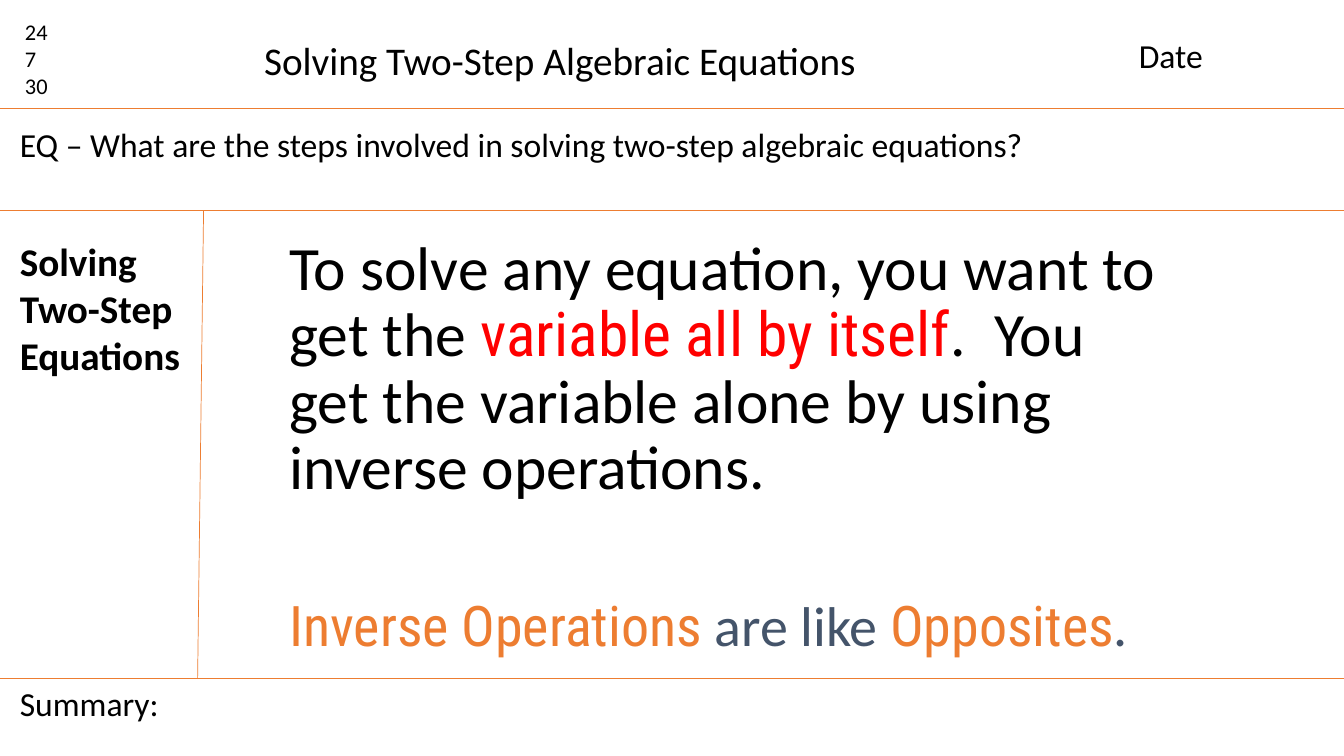
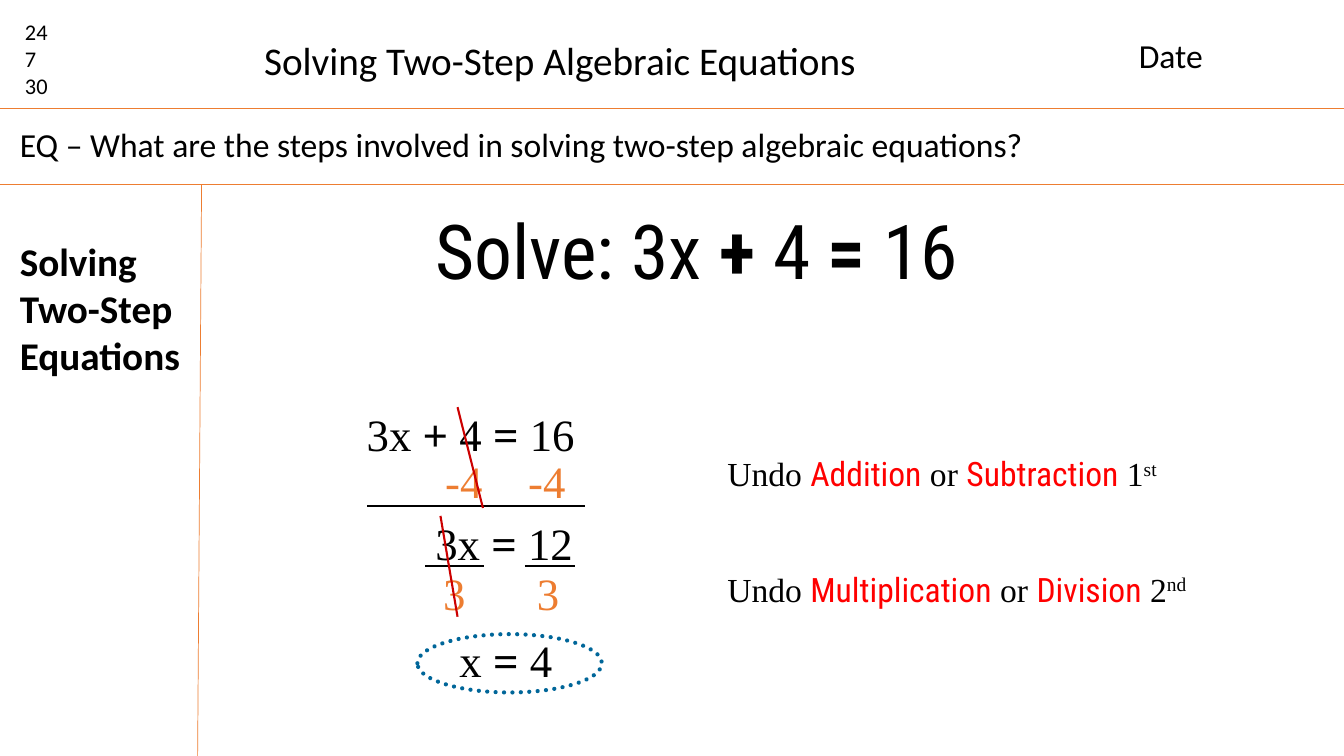
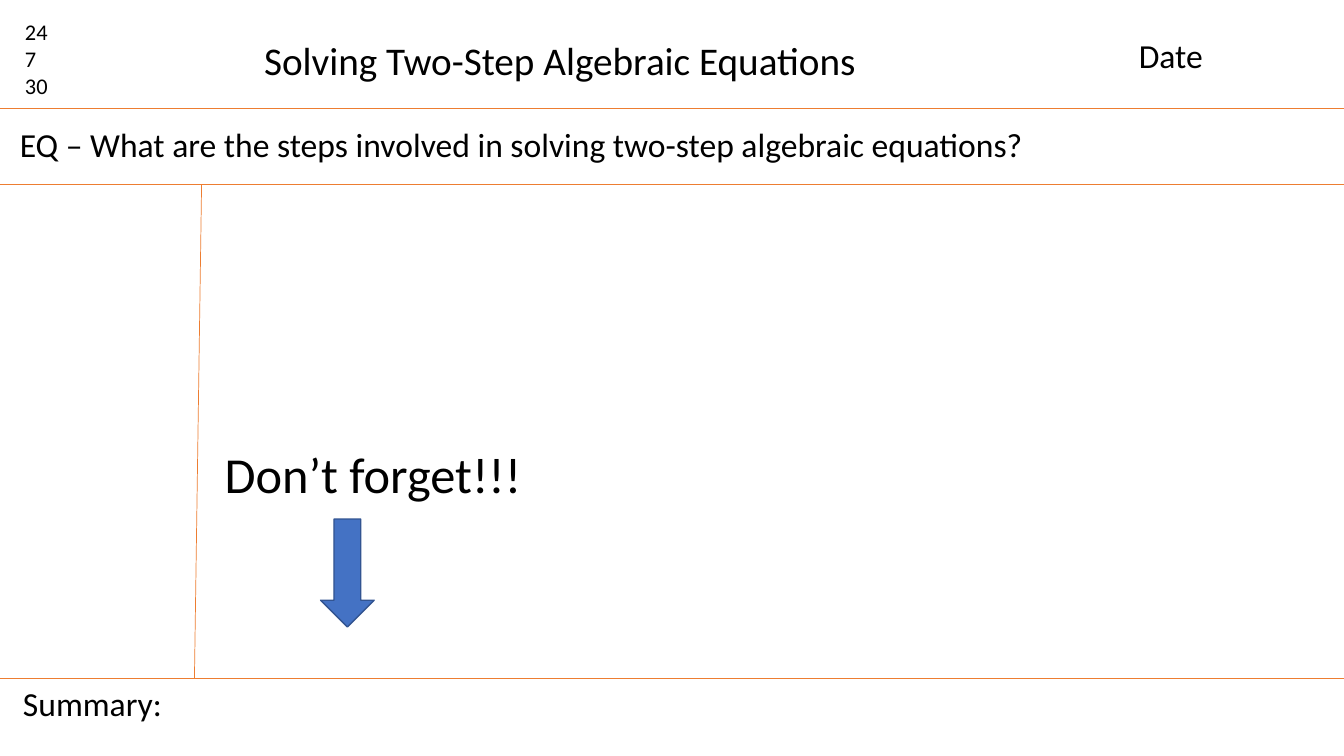
from lxml.etree import SubElement
from pptx import Presentation
from pptx.dml.color import RGBColor
from pptx.enum.dml import MSO_LINE
from pptx.enum.shapes import MSO_CONNECTOR, MSO_SHAPE
from pptx.enum.text import MSO_ANCHOR, PP_ALIGN
from pptx.oxml.ns import qn
from pptx.util import Cm, Pt

color = RGBColor.from_string
BLACK, ORANGE, RED, SLATE = "000000", "ED7D31", "FF0000", "44546A"
BODY, ACCENT, SERIF = "Calibri", "Roboto Condensed", "Times New Roman"
WIDTH, HEIGHT = 33.87, 19.05
HEADER_Y, SUMMARY_Y = 2.72, 17.09


def add_text(slide, left, top, width, height, paragraphs, size, font=BODY, ink=BLACK, bold=False):
    """Each paragraph is a list of runs: a string, or (string, overrides)."""
    box = slide.shapes.add_textbox(Cm(left), Cm(top), Cm(width), Cm(height))
    frame = box.text_frame
    frame.word_wrap = True
    for index, runs in enumerate(paragraphs):
        paragraph = frame.paragraphs[0] if index == 0 else frame.add_paragraph()
        for item in runs:
            words, changes = (item, {}) if isinstance(item, str) else item
            run = paragraph.add_run()
            run.text = words
            run.font.size = Pt(changes.get("size", size))
            run.font.name = changes.get("font", font)
            run.font.bold = changes.get("bold", bold)
            run.font.color.rgb = color(changes.get("ink", ink))
            if "baseline" in changes:
                run._r.get_or_add_rPr().set("baseline", changes["baseline"])
    return frame


def add_line(slide, x1, y1, x2, y2, ink=ORANGE, weight=0.5):
    line = slide.shapes.add_connector(MSO_CONNECTOR.STRAIGHT, Cm(x1), Cm(y1), Cm(x2), Cm(y2))
    line.line.color.rgb = color(ink)
    line.line.width = Pt(weight)
    SubElement(line._element.spPr, qn("a:effectLst"))


prs = Presentation()
prs.slide_width, prs.slide_height = Cm(WIDTH), Cm(HEIGHT)

# Notes frame: question rule, margin top x, margin bottom x, summary x, topic shown
frames = [
    (5.31, 5.13, 4.98, 0.25, True),
    (4.65, 5.08, 4.98, None, True),
    (4.65, 5.08, 4.9, 0.33, False),
]
slides = []
for question_y, margin_top, margin_bottom, summary_x, has_topic in frames:
    slide = prs.slides.add_slide(prs.slide_layouts[5])
    slides.append(slide)

    title = slide.shapes.title
    title.left, title.top, title.width, title.height = Cm(6.4), Cm(0.8), Cm(15.49), Cm(1.45)
    title.text_frame.text = "Solving Two-Step Algebraic Equations"
    title.text_frame.vertical_anchor = MSO_ANCHOR.TOP
    heading = title.text_frame.paragraphs[0]
    heading.alignment = PP_ALIGN.LEFT
    heading.font.size = Pt(28)
    heading.font.name = BODY
    heading.font.color.rgb = color(BLACK)

    add_text(slide, 0.38, 0.33, 1.6, 2.31, [["24"], ["7"], ["30"]], 16)
    add_text(slide, 28.45, 0.76, 4.39, 1.27, [["Date"]], 24)
    add_text(slide, 0.25, 3, 29.46, 1.27,
             [["EQ – What are the steps involved in solving two-step algebraic equations?"]], 24)
    for rule_y in (HEADER_Y, question_y):
        add_line(slide, 0, rule_y, WIDTH, rule_y)

    margin_end = HEIGHT
    if summary_x is not None:
        margin_end = SUMMARY_Y
        add_line(slide, 0, SUMMARY_Y, WIDTH, SUMMARY_Y)
        add_text(slide, summary_x, SUMMARY_Y, 4.24, 1.27, [["Summary:"]], 24)
    add_line(slide, margin_top, question_y, margin_bottom, margin_end)
    if has_topic:
        add_text(slide, 0.25, 5.85, 4.72, 3.84, [["Solving Two-Step"], ["Equations"]], 28, bold=True)

idea, example, reminder = slides

# Slide 1: inverse operations
key_term = {"font": ACCENT, "ink": ORANGE, "size": 40}
plain = {"ink": SLATE, "size": 40}
explanation = add_text(idea, 6.4, 5.85, 23.29, 12.27, [
    ["To solve any equation, you want to get the ",
     ("variable all by itself", {"font": ACCENT, "ink": RED}),
     ".  You get the variable alone by using inverse operations."],
    [("Inverse Operations", key_term), (" are like ", plain), ("Opposites", key_term), (".", plain)],
], 44)
for paragraph in explanation.paragraphs:
    paragraph.line_spacing = 0.9
    paragraph._p.get_or_add_pPr().set("marL", str(Cm(0.64)))
explanation.paragraphs[1].space_before = Pt(68)

# Slide 2: problem and worked steps
strong = {"bold": True}
add_text(example, 10.72, 5.02, 14.15, 2.57,
         [["Solve: 3x ", ("+", strong), " 4 ", ("=", strong), " 16"]], 54, ACCENT)
steps = [
    (8.99, 10.12, 6.5, ["3x ", ("+", strong), " 4 ", ("=", strong), " 16"]),
    (10.72, 12.88, 4.5, ["3x ", ("=", strong), " 12"]),
    (11.33, 15.83, 4.06, ["x ", ("=", strong), " 4"]),
]
for left, top, width, equation in steps:
    add_text(example, left, top, width, 1.6, [equation], 32, SERIF)
for left, top, operand in [(10.97, 11.3, "-4"), (13.06, 11.3, "-4"),
                           (10.92, 14.12, "3"), (13.28, 14.12, "3")]:
    add_text(example, left, top, 1.6, 1.6, [[operand]], 32, SERIF, ORANGE)

# Sum and fraction bars, then cancelling strokes
for x1, x2, y in [(9.25, 14.73, 12.75), (10.72, 12.19, 14.27), (13.23, 14.5, 14.27)]:
    add_line(example, x1, y, x2, y, BLACK, 1.5)
for stroke in [(11.53, 10.26, 12.17, 12.8), (11.1, 13, 11.53, 15.54)]:
    add_line(example, *stroke, "CC0000", 1.5)

answer_ring = example.shapes.add_shape(MSO_SHAPE.OVAL, Cm(10.52), Cm(15.98), Cm(4.65), Cm(1.47))
answer_ring.shadow.inherit = False
answer_ring.fill.background()
answer_ring.line.color.rgb = color("006699")
answer_ring.line.width = Pt(3)
answer_ring.line.dash_style = MSO_LINE.ROUND_DOT
answer_ring._element.spPr.find(qn("a:ln")).set("cap", "rnd")

# Order of undoing
operation = {"font": ACCENT, "ink": RED}
for top, first, second, rank, suffix in [
    (11.3, "Addition", "Subtraction", "1", "st"),
    (14.2, "Multiplication", "Division", "2", "nd"),
]:
    add_text(example, 18.08, top, 13.6, 1.27, [[
        "Undo ", (first, operation), " or ", (second, operation), " " + rank,
        (suffix, {"baseline": "30000"})]], 24, SERIF)

# Slide 3: summary reminder
add_text(reminder, 5.41, 11.05, 13.44, 1.8, [["Don’t forget!!!"]], 36)
summary_arrow = reminder.shapes.add_shape(MSO_SHAPE.DOWN_ARROW, Cm(8.08), Cm(13.08), Cm(1.35), Cm(2.72))
summary_arrow.shadow.inherit = False
summary_arrow.fill.solid()
summary_arrow.fill.fore_color.rgb = color("4472C4")
summary_arrow.line.color.rgb = color("325491")
summary_arrow.line.width = Pt(1)

prs.save("out.pptx")
